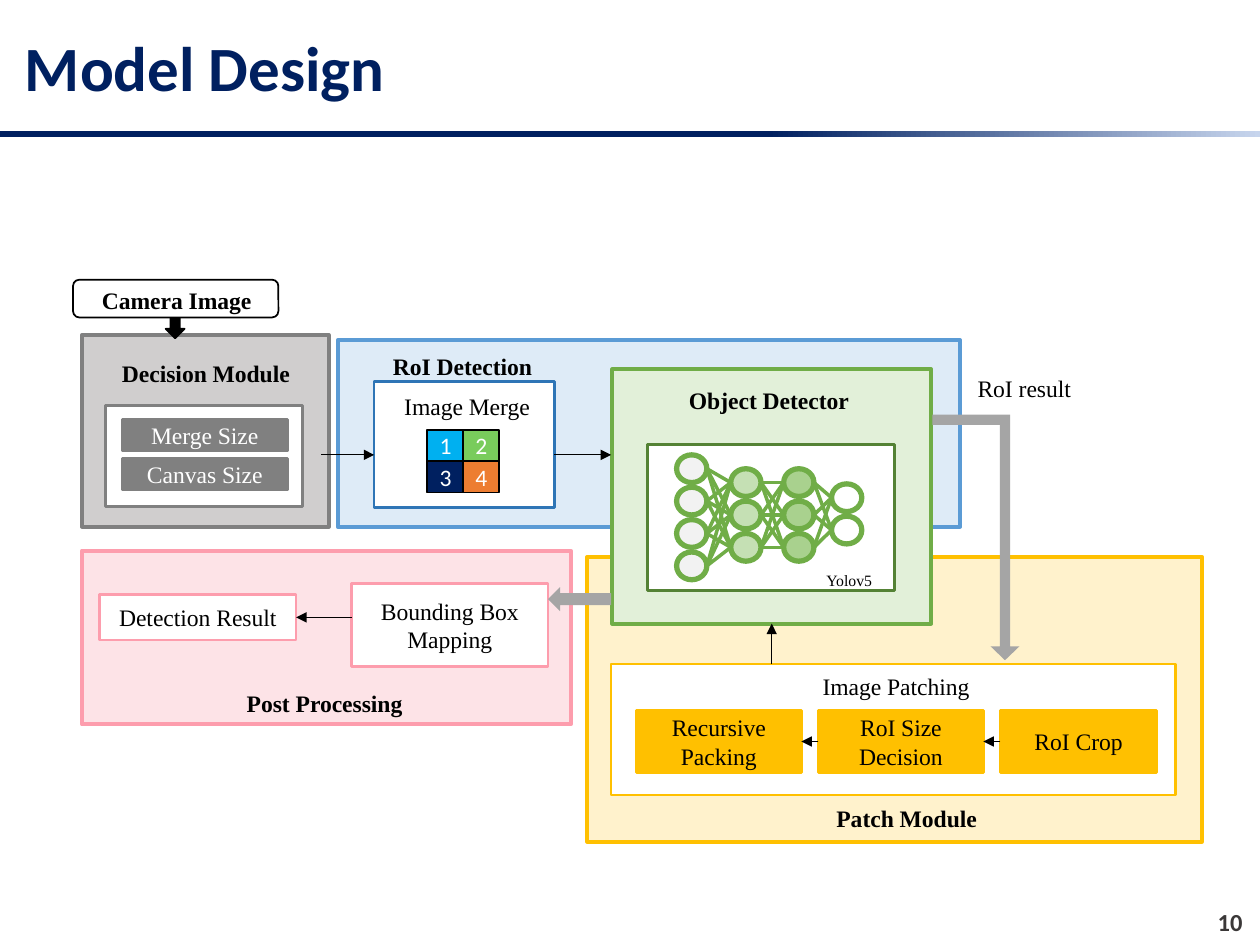
from dataclasses import dataclass
from itertools import pairwise, product

from lxml.etree import SubElement
from pptx import Presentation
from pptx.dml.color import RGBColor
from pptx.enum.shapes import MSO_CONNECTOR, MSO_SHAPE
from pptx.enum.text import MSO_ANCHOR, MSO_AUTO_SIZE, PP_ALIGN
from pptx.oxml.ns import qn
from pptx.util import Inches, Pt

CELL = Inches(0.1)  # the slide is a grid of 100 columns and 75 rows
COLUMNS, ROWS = 100, 75
TOP, LEFT, BOTTOM, RIGHT = range(4)
SERIF, SANS = "Times New Roman", "Calibri"

BLACK = RGBColor(0x00, 0x00, 0x00)
WHITE = RGBColor(0xFF, 0xFF, 0xFF)
NAVY = RGBColor(0x00, 0x20, 0x60)
PALE_NAVY = RGBColor(0xC7, 0xD5, 0xED)
CHARCOAL = RGBColor(0x3B, 0x38, 0x38)
GRAY = RGBColor(0x80, 0x80, 0x80)
PALE_GRAY = RGBColor(0xD0, 0xCE, 0xCE)
ARROW_GRAY = RGBColor(0xA5, 0xA5, 0xA5)
PINK = RGBColor(0xFD, 0x9D, 0xAD)
PALE_PINK = RGBColor(0xFD, 0xE3, 0xE7)
GOLD = RGBColor(0xFF, 0xC0, 0x00)
PALE_GOLD = RGBColor(0xFF, 0xF2, 0xCC)
BLUE = RGBColor(0x5B, 0x9B, 0xD5)
DEEP_BLUE = RGBColor(0x2E, 0x75, 0xB6)
PALE_BLUE = RGBColor(0xDE, 0xEB, 0xF7)
GREEN = RGBColor(0x70, 0xAD, 0x47)
DEEP_GREEN = RGBColor(0x54, 0x82, 0x35)
PALE_GREEN = RGBColor(0xE2, 0xF0, 0xD9)
TILE_COLORS = (RGBColor(0x00, 0xB0, 0xF0), RGBColor(0x79, 0xCC, 0x5C),
               NAVY, RGBColor(0xED, 0x7D, 0x31))
INPUT_GRAY = RGBColor(0xF2, 0xF2, 0xF2)
HIDDEN_GREENS = RGBColor(0xC5, 0xE0, 0xB4), RGBColor(0xA9, 0xD1, 0x8E)


@dataclass
class Box:
    x: float
    y: float
    w: float
    h: float

    def inner(self, dx, dy, w, h):
        return Box(self.x + dx, self.y + dy, w, h)

    def emu(self):
        return [round(v * CELL) for v in (self.x, self.y, self.w, self.h)]


def set_values(target, values):
    for name, value in values.items():
        setattr(target, name, value)


def write(frame, text, size=13.5, color=BLACK, font=SERIF, bold=False,
          align=PP_ALIGN.LEFT, **frame_values):
    set_values(frame, {"word_wrap": True, **frame_values})
    paragraph = frame.paragraphs[0]
    paragraph.alignment = align
    run = paragraph.add_run()
    run.text = text
    set_values(run.font, {"size": Pt(size), "name": font, "bold": bold})
    run.font.color.rgb = color


def add_label(shapes, box, text, **style):
    frame = shapes.add_textbox(*box.emu()).text_frame
    write(frame, text, **{"word_wrap": False,
                          "auto_size": MSO_AUTO_SIZE.SHAPE_TO_FIT_TEXT, **style})


def add_block(shapes, box, fill=None, line=None, width=1.5, text=None,
              kind=MSO_SHAPE.RECTANGLE, **style):
    block = shapes.add_shape(kind, *box.emu())
    block.shadow.inherit = False
    for paint, color in ((block.fill, fill), (block.line.fill, line)):
        if color is None:
            paint.background()
        else:
            paint.solid()
            paint.fore_color.rgb = color
    if line is not None:
        block.line.width = Pt(width)
    if text:
        write(block.text_frame, text, align=PP_ALIGN.CENTER,
              vertical_anchor=MSO_ANCHOR.MIDDLE, **style)
    return block


def add_link(shapes, start, end, color=BLACK, width=0.5, arrow=True):
    ends = [round(v * CELL) for v in (*start, *end)]
    link = shapes.add_connector(MSO_CONNECTOR.STRAIGHT, *ends)
    link.line.color.rgb = color
    link.line.width = Pt(width)
    properties = link._element.spPr
    if arrow:
        SubElement(properties.get_or_add_ln(), qn("a:tailEnd"), type="triangle")
    SubElement(properties, qn("a:effectLst"))
    return link


def add_header(shapes, box):
    add_label(shapes, box.inner(1, 1.3, 95, 8), "Model Design", size=36, color=NAVY,
              font=SANS, bold=True, word_wrap=True, auto_size=MSO_AUTO_SIZE.NONE,
              vertical_anchor=MSO_ANCHOR.MIDDLE)
    rule = add_block(shapes, box.inner(0, 10.4, box.w, 0.5))
    rule.fill.gradient()
    rule.fill.gradient_angle = 0
    for stop, position, color in zip(rule.fill.gradient_stops, (0.61, 1), (NAVY, PALE_NAVY)):
        stop.position = position
        stop.color.rgb = color


def add_camera(shapes, box):
    add_label(shapes, box.inner(1.3, 0, 14.1, 3.3), "Camera Image", bold=True)
    add_block(shapes, box, None, BLACK, 1, kind=MSO_SHAPE.ROUNDED_RECTANGLE)
    arrow = add_block(shapes, box.inner(7.3, 3.1, 1.6, 1.5), BLACK, BLACK, 1,
                      kind=MSO_SHAPE.RIGHT_ARROW)
    arrow.rotation = 90


def add_decision_module(shapes, box):
    add_block(shapes, box, PALE_GRAY, GRAY, 2.25)
    add_label(shapes, box.inner(2.2, 1.4, 16.4, 3.3), "Decision Module", bold=True,
              word_wrap=True)
    add_block(shapes, box.inner(1.9, 5.6, 15.6, 8), WHITE, GRAY)
    for row, setting in enumerate(("Merge Size", "Canvas Size")):
        add_block(shapes, box.inner(3.2, 6.7 + 3.1 * row, 13.1, 2.5), GRAY, GRAY,
                  text=setting, color=WHITE)


def add_post_processing(shapes, box):
    add_block(shapes, box, PALE_PINK, PINK, 2.25)
    add_label(shapes, box.inner(12.1, 10.5, 14.6, 3.3), "Post Processing", bold=True)
    mapping = box.inner(21.4, 2.6, 15.6, 6.6)
    add_block(shapes, mapping, WHITE, PINK, text="Bounding Box Mapping")
    result = box.inner(1.4, 3.5, 15.6, 3.6)
    result_block = add_block(shapes, result, WHITE, PINK, text="Detection Result")
    middle = result.y + result.h / 2
    link = add_link(shapes, (mapping.x, middle), (result.x + result.w, middle))
    link.end_connect(result_block, RIGHT)


def add_patch_module(shapes, box):
    add_block(shapes, box, PALE_GOLD, GOLD, 2.25)
    add_label(shapes, box.inner(18.8, 19.1, 13.3, 3.3), "Patch Module", bold=True)
    add_block(shapes, box.inner(1.9, 8.5, 44.8, 10.4), WHITE, GOLD)
    add_label(shapes, box.inner(17.7, 8.6, 13.9, 3.3), "Image Patching")
    steps = (("Recursive Packing", 13.1), ("RoI Size Decision", 13.1), ("RoI Crop", 12.4))
    blocks = [add_block(shapes, box.inner(3.9 + 14.45 * column, 12.2, width, 4.9),
                        GOLD, GOLD, text=step)
              for column, (step, width) in enumerate(steps)]
    for following, previous in pairwise(blocks):
        link = add_link(shapes, (0, 0), (0, 0))
        link.begin_connect(previous, LEFT)
        link.end_connect(following, RIGHT)


def add_roi_detection(shapes, box):
    add_block(shapes, box, PALE_BLUE, BLUE, 2.25)
    add_label(shapes, box.inner(3.4, 0.4, 13.2, 3.3), "RoI Detection", bold=True)
    add_block(shapes, box.inner(2.9, 3.3, 14.3, 10), WHITE, DEEP_BLUE)
    add_label(shapes, box.inner(4.3, 3.6, 12.1, 3.3), "Image Merge")
    for index, color in enumerate(TILE_COLORS):
        row, column = divmod(index, 2)
        add_block(shapes, box.inner(7.1 + 2.85 * column, 7.1 + 2.5 * row, 2.85, 2.5),
                  color, BLACK, 1, text=str(index + 1), color=WHITE, font=SANS)


def add_network(shapes, box):
    """Draw fully linked layers of neurons, grouped."""
    layers = ((0, 0, 4, INPUT_GRAY), (4.3, 1.1, 3, HIDDEN_GREENS[0]),
              (8.5, 1.1, 3, HIDDEN_GREENS[1]), (12.3, 2.3, 2, None))
    neurons = [[box.inner(dx, dy + 2.57 * row, 2.4, 2.2) for row in range(count)]
               for dx, dy, count, _ in layers]
    members = shapes.add_group_shape().shapes
    for layer, following in pairwise(neurons):
        for source, target in product(layer, following):
            add_link(members, (source.x + source.w, source.y + source.h / 2),
                     (target.x, target.y + target.h / 2), GREEN, 2, arrow=False)
    for layer, (*_, fill) in zip(neurons, layers):
        for neuron in layer:
            add_block(members, neuron, fill, GREEN, 3, kind=MSO_SHAPE.OVAL)


def add_object_detector(shapes, box):
    detector = add_block(shapes, box, PALE_GREEN, GREEN, 2.25)
    add_label(shapes, box.inner(5.1, 0.8, 15.3, 3.3), "Object Detector", bold=True)
    add_block(shapes, box.inner(2.8, 6, 19.6, 11.6), WHITE, DEEP_GREEN)
    add_network(shapes, box.inner(5.1, 6.8, 14.7, 9.9))
    add_label(shapes, box.inner(16, 15.5, 6.5, 2.5), "Yolov5", size=9, word_wrap=True)
    return detector


def add_flow(shapes, box, detector, detector_block):
    """Draw the arrows that run between the modules."""
    for start, end in ((25.5, 29.7), (44, 48.5)):
        add_link(shapes, (box.x + start, box.y + 36.1), (box.x + end, box.y + 36.1))
    link = add_link(shapes, (detector.x + detector.w / 2, box.y + 52.7), (0, 0))
    link.end_connect(detector_block, BOTTOM)
    add_label(shapes, box.inner(76.6, 29.2, 9.5, 3.3), "RoI result")
    bent = add_block(shapes, box.inner(74, 32.9, 6.9, 19.5), ARROW_GRAY,
                     kind=MSO_SHAPE.BENT_UP_ARROW)
    for index, share in enumerate((0.12, 0.165, 0.159)):
        bent.adjustments[index] = share
    bent._element.spPr.xfrm.set("flipV", "1")
    add_block(shapes, box.inner(43.5, 46.6, 5, 1.9), ARROW_GRAY, kind=MSO_SHAPE.LEFT_ARROW)


def main():
    deck = Presentation()
    set_values(deck, {"slide_width": COLUMNS * CELL, "slide_height": ROWS * CELL})
    shapes = deck.slides.add_slide(deck.slide_layouts[6]).shapes
    page = Box(0, 0, COLUMNS, ROWS)
    detector = page.inner(48.6, 29.3, 25.3, 20.2)
    add_header(shapes, page)
    add_decision_module(shapes, page.inner(6.5, 26.6, 19.6, 15.2))
    add_camera(shapes, page.inner(5.8, 22.2, 16.3, 3))
    add_post_processing(shapes, page.inner(6.5, 43.7, 38.8, 13.8))
    add_patch_module(shapes, page.inner(46.6, 44.2, 48.8, 22.6))
    add_roi_detection(shapes, page.inner(26.8, 27, 49.4, 14.8))
    detector_block = add_object_detector(shapes, detector)
    add_flow(shapes, page, detector, detector_block)
    add_label(shapes, page.inner(95.4, 71.5, 4.2, 3), "10", size=14, color=CHARCOAL,
              font=SANS, bold=True, align=PP_ALIGN.RIGHT, word_wrap=True,
              auto_size=MSO_AUTO_SIZE.NONE)
    deck.save("out.pptx")


if __name__ == "__main__":
    main()
